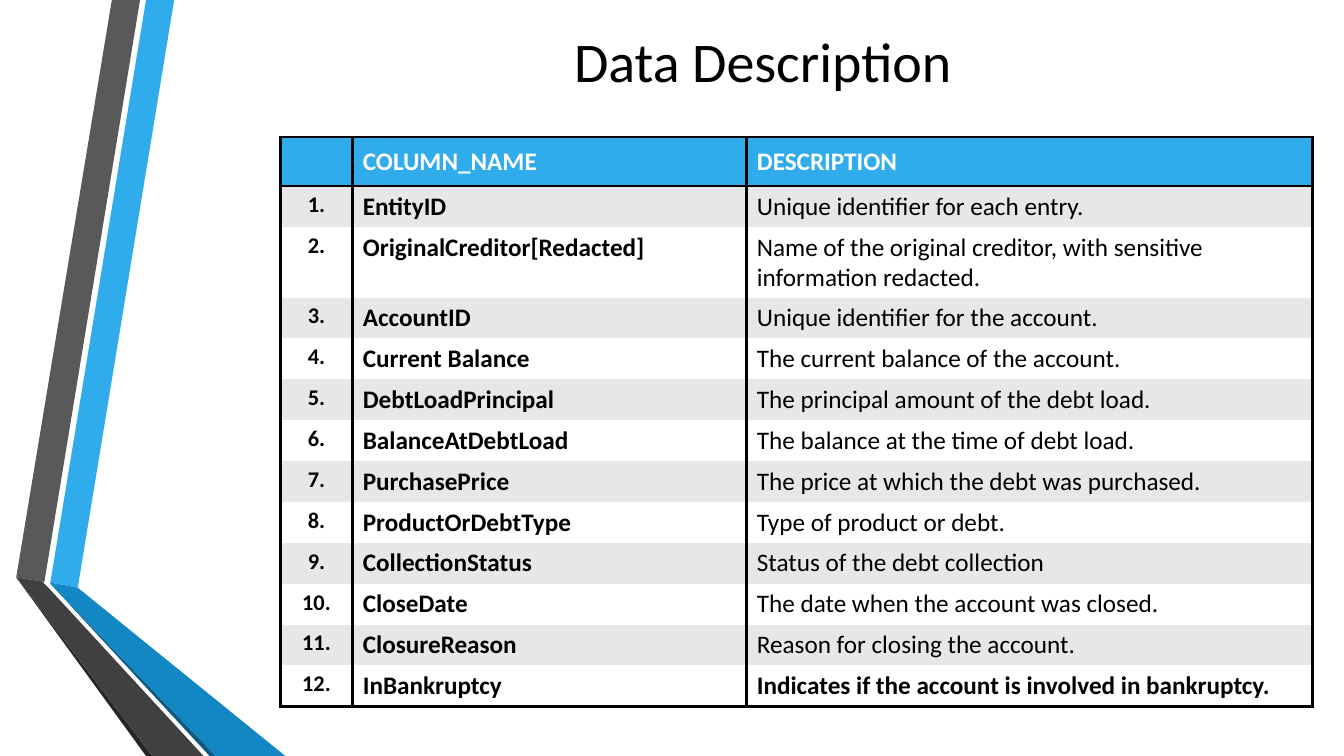
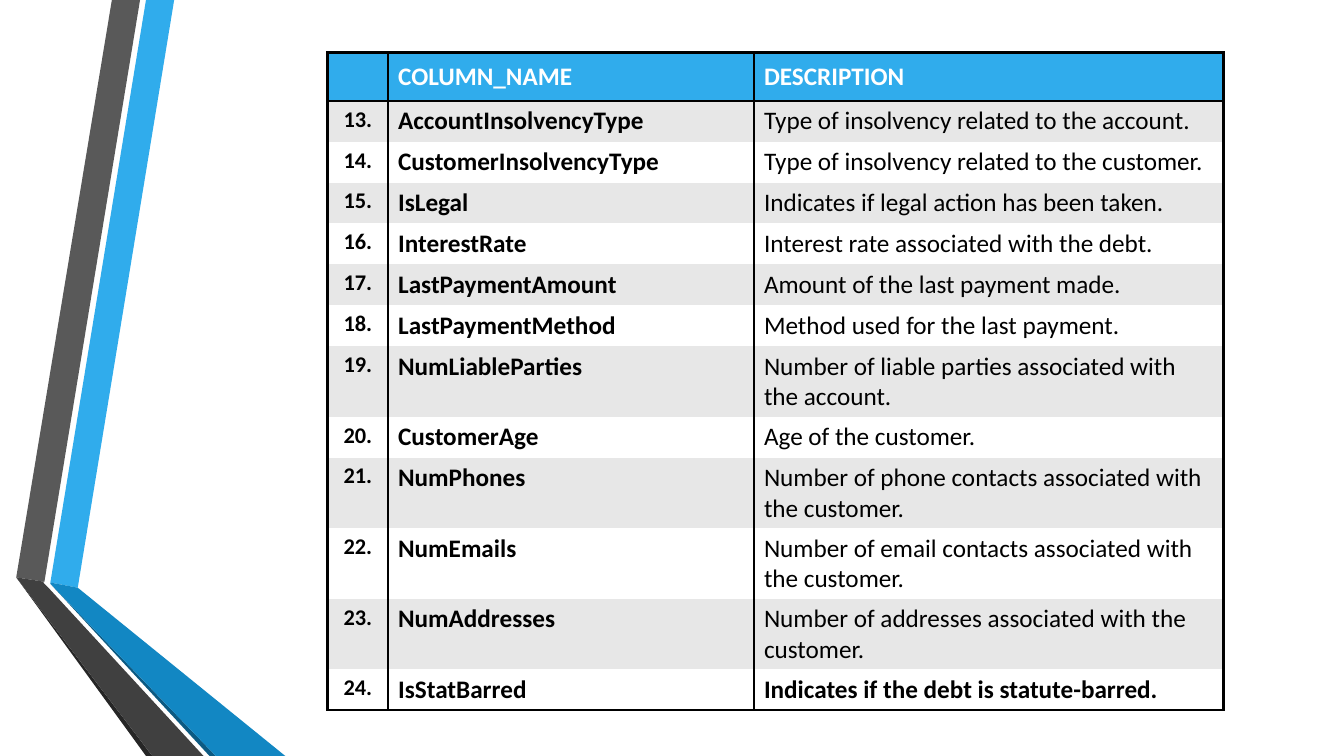
from lxml import etree
from pptx import Presentation
from pptx.dml.color import RGBColor
from pptx.enum.text import MSO_ANCHOR, PP_ALIGN
from pptx.oxml.ns import qn
from pptx.util import Cm, Pt

LEFT, CENTER = PP_ALIGN.LEFT, PP_ALIGN.CENTER
TOP, MIDDLE = MSO_ANCHOR.TOP, MSO_ANCHOR.MIDDLE

BLACK = RGBColor(0x00, 0x00, 0x00)
WHITE = RGBColor(0xFF, 0xFF, 0xFF)
STRIPE = RGBColor(0xE7, 0xE7, 0xE7)
BLUE = RGBColor(0x30, 0xAC, 0xEC)
MID_BLUE = RGBColor(0x12, 0x87, 0xC3)
DEEP_BLUE = RGBColor(0x0C, 0x5A, 0x82)
GRAY = RGBColor(0x59, 0x59, 0x59)
DARK_GRAY = RGBColor(0x40, 0x40, 0x40)
CHARCOAL = RGBColor(0x26, 0x26, 0x26)

FONT = "Calibri"
PLAIN_TABLE_STYLE = "{2D5ABB26-0587-4C30-8999-92F81FD0307C}"
ROW_HEIGHT = 1.03
SIDE_LINE, RULE_LINE = Pt(2.25), Pt(2)

RIBBONS = [
    (BLUE, [(1.27, 14.68), (1.96, 14.81), (4.39, 0), (3.68, 0)]),
    (GRAY, [(3.53, 0), (2.82, 0), (0.41, 14.55), (1.12, 14.66)]),
    (CHARCOAL, [(0.41, 14.55), (3.68, 19.05), (3.84, 19.05)]),
    (DEEP_BLUE, [(1.27, 14.71), (5.28, 19.05), (5.44, 19.05)]),
    (MID_BLUE, [(1.27, 14.71), (5.44, 19.05), (7.19, 19.05), (1.96, 14.81), (1.27, 14.68)]),
    (DARK_GRAY, [(5.13, 19.05), (1.22, 14.81), (1.09, 14.68), (1.12, 14.66),
                 (0.41, 14.55), (3.84, 19.05)]),
]

HEADER = ("", "COLUMN_NAME", "DESCRIPTION")
SLIDES = [
    {
        "title": "Data Description",
        "left": 7.06, "top": 3.45, "header_height": 1.24,
        "widths": (1.83, 9.93, 14.25),
        "first_number": 1,
        "fields": [
            ("EntityID", "Unique identifier for each entry."),
            ("OriginalCreditor[Redacted]",
             "Name of the original creditor, with sensitive information redacted."),
            ("AccountID", "Unique identifier for the account."),
            ("Current Balance", "The current balance of the account."),
            ("DebtLoadPrincipal", "The principal amount of the debt load."),
            ("BalanceAtDebtLoad", "The balance at the time of debt load."),
            ("PurchasePrice", "The price at which the debt was purchased."),
            ("ProductOrDebtType", "Type of product or debt."),
            ("CollectionStatus", "Status of the debt collection"),
            ("CloseDate", "The date when the account was closed."),
            ("ClosureReason", "Reason for closing the account."),
            ("InBankruptcy", "Indicates if the account is involved in bankruptcy."),
        ],
    },
    {
        "title": None,
        "left": 8.26, "top": 1.32, "header_height": 1.22,
        "widths": (1.52, 9.22, 11.84),
        "first_number": 13,
        "fields": [
            ("AccountInsolvencyType", "Type of insolvency related to the account."),
            ("CustomerInsolvencyType", "Type of insolvency related to the customer."),
            ("IsLegal", "Indicates if legal action has been taken."),
            ("InterestRate", "Interest rate associated with the debt."),
            ("LastPaymentAmount", "Amount of the last payment made."),
            ("LastPaymentMethod", "Method used for the last payment."),
            ("NumLiableParties", "Number of liable parties associated with\nthe account."),
            ("CustomerAge", "Age of the customer."),
            ("NumPhones", "Number of phone contacts associated with the customer."),
            ("NumEmails", "Number of email contacts associated with the customer."),
            ("NumAddresses", "Number of addresses associated with the\ncustomer."),
            ("IsStatBarred", "Indicates if the debt is statute-barred."),
        ],
    },
]


def write(frame, text, size=18, bold=False, color=BLACK, align=LEFT, anchor=TOP):
    frame.word_wrap = True
    frame.vertical_anchor = anchor
    frame.text = text
    for paragraph in frame.paragraphs:
        paragraph.alignment = align
        font = paragraph.font
        font.name, font.size, font.bold = FONT, Pt(size), bold
        font.color.rgb = color
        for run in paragraph.runs:
            run.font.name, run.font.size, run.font.bold = FONT, Pt(size), bold
            run.font.color.rgb = color


def add_ribbons(slide):
    group = slide.shapes.add_group_shape()
    for color, corners in RIBBONS:
        start, *others = [(Cm(x), Cm(y)) for x, y in corners]
        builder = group.shapes.build_freeform(*start)
        builder.add_line_segments(others, close=True)
        ribbon = builder.convert_to_shape()
        ribbon.shadow.inherit = False
        ribbon.fill.solid()
        ribbon.fill.fore_color.rgb = color
        ribbon.line.fill.background()


def add_title(slide, title):
    box = slide.shapes.add_textbox(Cm(5.38), Cm(0), Cm(27.69), Cm(3.05))
    write(box.text_frame, title, size=40, align=CENTER, anchor=MIDDLE)


def add_borders(cell, ruled_sides):
    properties = cell._tc.get_or_add_tcPr()
    for side in "LRTB":
        if side in "LR" or side in ruled_sides:
            width = SIDE_LINE if side in "LR" else RULE_LINE
            line = etree.SubElement(properties, qn(f"a:ln{side}"), w=str(width))
            fill = etree.SubElement(line, qn("a:solidFill"))
            etree.SubElement(fill, qn("a:srgbClr"), val=str(BLACK))


def add_field_table(slide, content):
    fields = content["fields"]
    numbered = [(f"{number}.", *field)
                for number, field in enumerate(fields, content["first_number"])]
    rows = [HEADER, *numbered]
    heights = [content["header_height"]] + [ROW_HEIGHT] * len(fields)
    widths = content["widths"]
    frame = slide.shapes.add_table(
        len(rows), len(widths), Cm(content["left"]), Cm(content["top"]),
        Cm(sum(widths)), Cm(sum(heights)))
    table = frame.table
    table._tbl.tblPr.find(qn("a:tableStyleId")).text = PLAIN_TABLE_STYLE
    for column, width in zip(table.columns, widths):
        column.width = Cm(width)

    last = len(rows) - 1
    for index, (row, height, texts) in enumerate(zip(table.rows, heights, rows)):
        row.height = Cm(height)
        ruled_sides = "TB" if index == 0 else "B" if index == last else ""
        row_fill = BLUE if index == 0 else STRIPE if index % 2 else WHITE
        number_format = {"size": 16, "bold": True, "align": CENTER}
        formats = (number_format, {"bold": True}, {"bold": index == last})
        if index == 0:
            formats = [{"bold": True, "color": WHITE, "anchor": MIDDLE}] * len(widths)
        for cell, text, text_format in zip(row.cells, texts, formats):
            add_borders(cell, ruled_sides)
            cell.fill.solid()
            cell.fill.fore_color.rgb = row_fill
            write(cell.text_frame, text, **text_format)
            cell.vertical_anchor = text_format.get("anchor", TOP)


def main():
    deck = Presentation()
    deck.slide_width, deck.slide_height = Cm(33.87), Cm(19.05)
    blank = deck.slide_layouts[6]
    for content in SLIDES:
        slide = deck.slides.add_slide(blank)
        add_ribbons(slide)
        if content["title"]:
            add_title(slide, content["title"])
        add_field_table(slide, content)
    deck.save("out.pptx")


if __name__ == "__main__":
    main()
